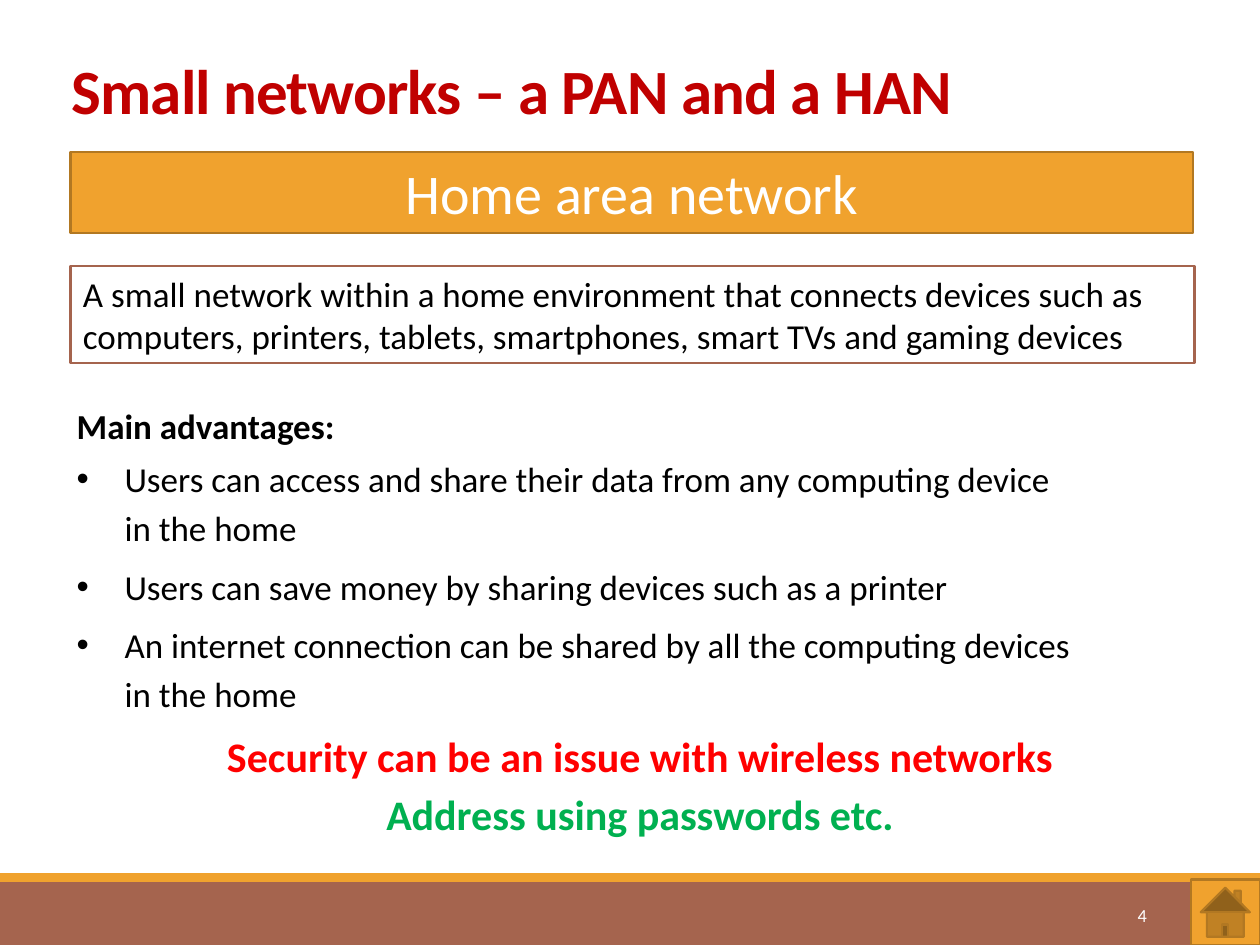
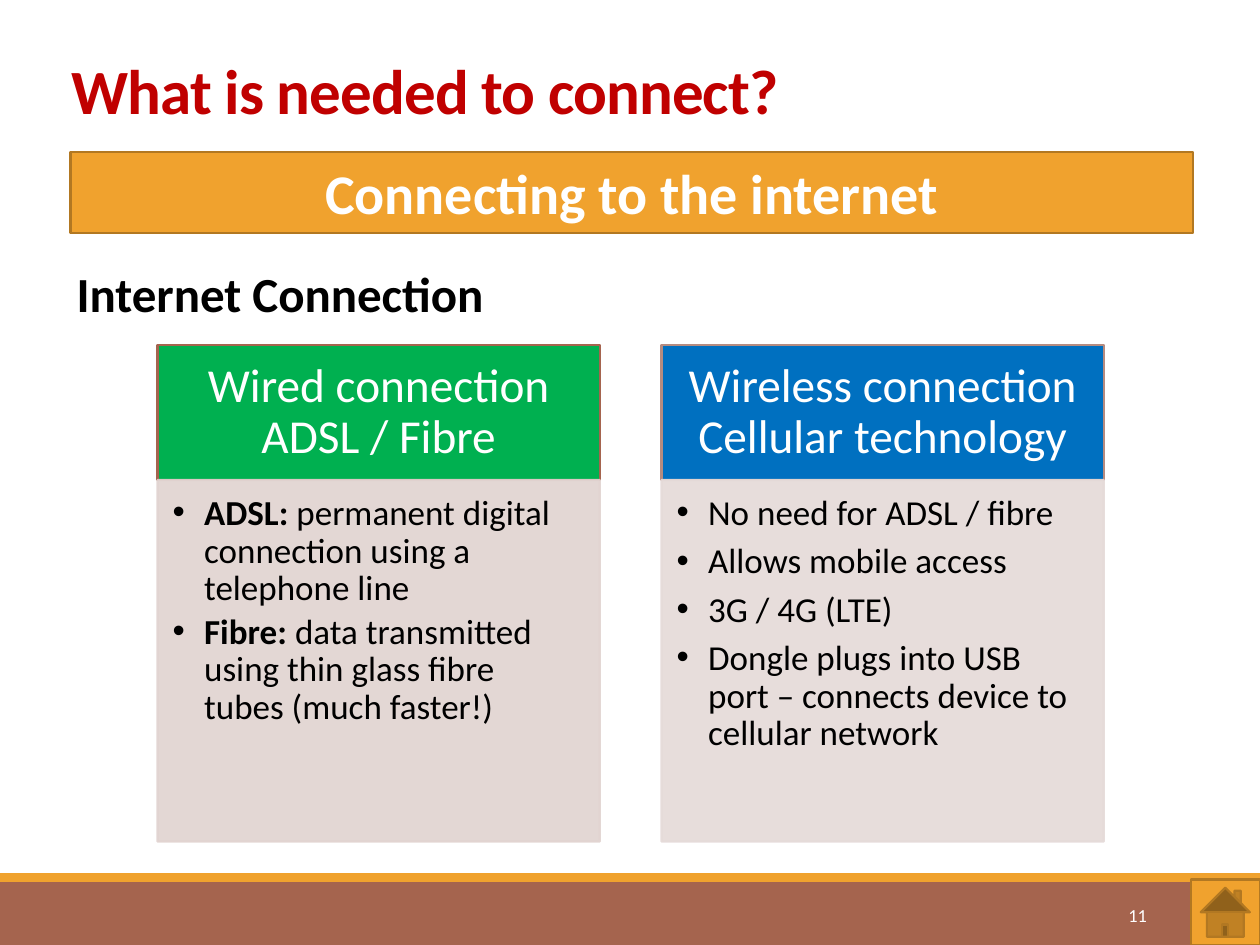
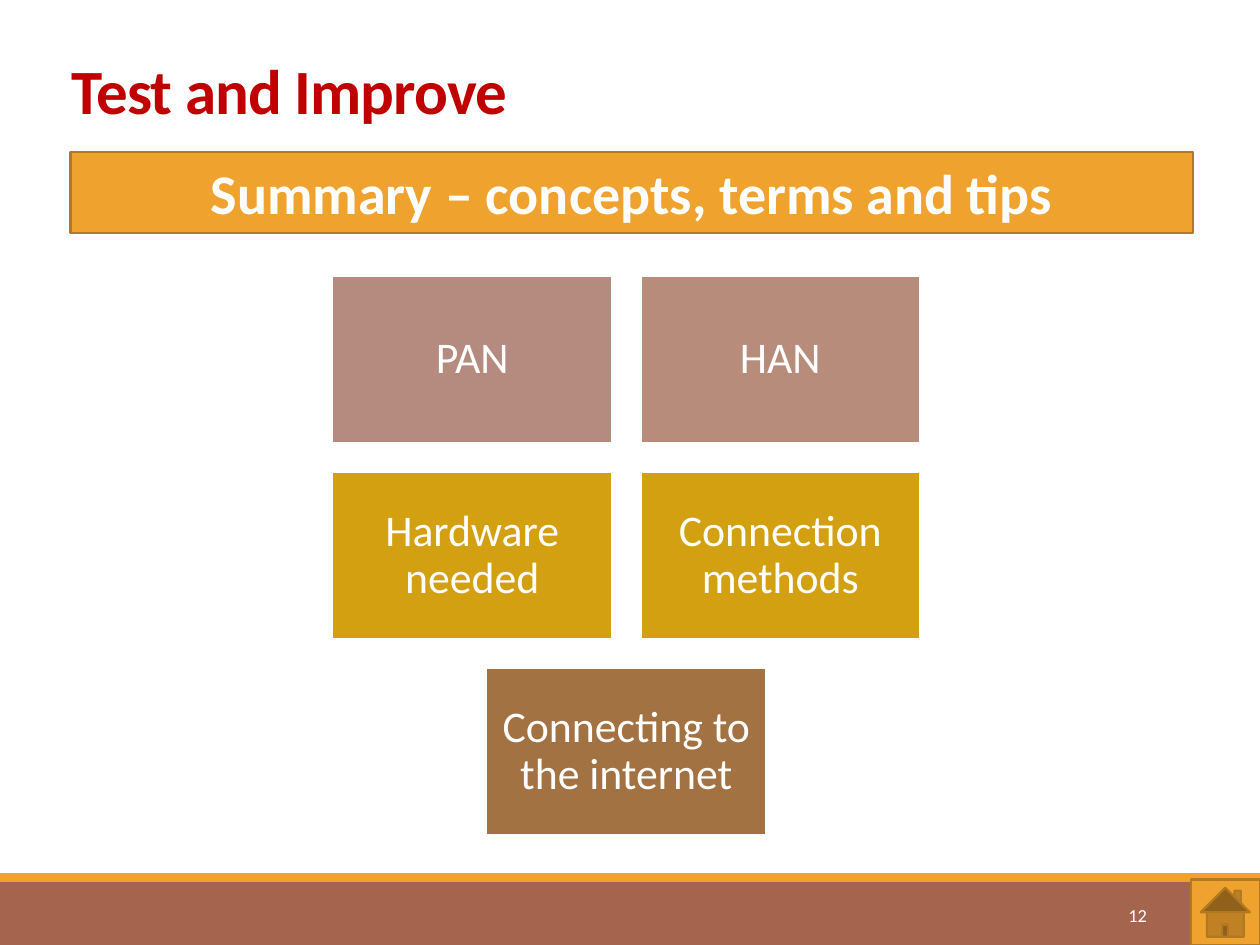
from dataclasses import dataclass

from lxml.etree import SubElement
from pptx import Presentation
from pptx.dml.color import RGBColor
from pptx.enum.shapes import MSO_SHAPE as Preset
from pptx.enum.text import MSO_ANCHOR as Anchor, PP_ALIGN as Align
from pptx.oxml.ns import qn
from pptx.util import Inches, Pt


@dataclass(frozen=True)
class Theme:
    font: str = "Calibri"
    # Colours
    white: str = "FFFFFF"
    black: str = "000000"
    title: str = "C00000"
    brown: str = "A5644E"
    amber: str = "F0A22E"
    amber_edge: str = "B27822"
    rose: str = "B58B80"
    clay: str = "B88C7B"
    gold: str = "D2A010"
    bronze: str = "A27242"
    green: str = "00B050"
    blue: str = "0070C0"
    red: str = "FF0000"
    wired_tint: str = "E1D3D0"
    wireless_tint: str = "E5DAD8"
    # Type sizes and line width
    title_size: float = 36
    banner_size: float = 32
    subhead_size: float = 28
    column_size: float = 27
    tile_size: float = 25
    notice_size: float = 24
    body_size: float = 20
    number_size: float = 10.5
    edge: float = 1.25


@dataclass
class Line:
    """One paragraph: an optional bold lead, then the text."""
    text: str
    lead: str = ""
    bold: bool = False
    color: str = Theme.black
    after: float = 0
    bullet: float = 0  # hanging indent in inches


class Deck:
    """Holds the theme and current slide; places are columns and rows."""
    COLUMNS, ROWS = 100, 75

    def __init__(self, theme):
        self.theme = theme
        self.show = Presentation()
        self.show.slide_width, self.show.slide_height = Inches(10), Inches(7.5)
        self.column = self.show.slide_width / self.COLUMNS
        self.row = self.show.slide_height / self.ROWS
        self.slide = None

    def place(self, left, top, width, height):
        return (round(left * self.column), round(top * self.row),
                round(width * self.column), round(height * self.row))

    def box(self, at, fill, edge=None, preset=Preset.RECTANGLE, opacity=None):
        shape = self.slide.shapes.add_shape(preset, *self.place(*at))
        shape.shadow.inherit = False
        shape.fill.solid()
        shape.fill.fore_color.rgb = RGBColor.from_string(fill)
        if edge:
            shape.line.color.rgb = RGBColor.from_string(edge)
            shape.line.width = Pt(self.theme.edge)
        else:
            shape.line.fill.background()
        if opacity:
            for color in shape._element.spPr.iter(qn("a:srgbClr")):
                SubElement(color, qn("a:alpha"), val=str(opacity * 1000))
        return shape

    def text(self, at, lines, size, **style):
        area = self.slide.shapes.add_textbox(*self.place(*at))
        self.set_lines(area, lines, size, **style)

    def set_lines(self, shape, lines, size, align=Align.LEFT, anchor=Anchor.TOP,
                  spacing=1.0, insets=(0.1, 0.05, 0.1, 0.05), tracking=0):
        frame = shape.text_frame
        frame.word_wrap = True
        frame.vertical_anchor = anchor
        (frame.margin_left, frame.margin_top,
         frame.margin_right, frame.margin_bottom) = map(Inches, insets)
        for index, line in enumerate(lines):
            paragraph = frame.add_paragraph() if index else frame.paragraphs[0]
            if line.bullet:
                self.bullet(paragraph, line.bullet)
            paragraph.alignment = align
            paragraph.line_spacing = spacing
            paragraph.space_after = Pt(line.after)
            for words, bold in ((line.lead, True), (line.text, line.bold)):
                if not words:
                    continue
                run = paragraph.add_run()
                run.text = words
                run.font.name = self.theme.font
                run.font.size = Pt(size)
                run.font.bold = bold
                run.font.color.rgb = RGBColor.from_string(line.color)
                if tracking:
                    run._r.get_or_add_rPr().set("spc", str(round(tracking * 100)))

    def bullet(self, paragraph, indent):
        properties = paragraph._p.get_or_add_pPr()
        properties.set("marL", str(Inches(indent)))
        properties.set("indent", str(-Inches(indent)))
        SubElement(properties, qn("a:buFont"), typeface="Arial")
        SubElement(properties, qn("a:buChar"), char="•")

    def start(self, title, banner, number, banner_bold=True):
        """Add a slide with its title, banner, footer and home button."""
        t = self.theme
        self.slide = self.show.slides.add_slide(self.show.slide_layouts[6])
        # Footer
        self.box((0, 70, 100, 5), t.brown)
        self.box((0, 69.3, 100, 0.7), t.amber)
        self.text((81.2, 70.6, 10.8, 4), [Line(str(number), color=t.white)],
                  t.number_size, align=Align.RIGHT, anchor=Anchor.MIDDLE)
        self.box((94.5, 69.8, 5.5, 5.2), t.amber, t.amber_edge,
                 Preset.ACTION_BUTTON_HOME)
        # Heading
        strip = self.box((5.6, 12.1, 89.1, 6.4), t.amber, t.amber_edge)
        self.set_lines(strip, [Line(banner, bold=banner_bold, color=t.white)],
                       t.banner_size, align=Align.CENTER)
        self.text((4.7, 3.2, 90, 7.4), [Line(title, bold=True, color=t.title)],
                  t.title_size, anchor=Anchor.BOTTOM, spacing=0.85, tracking=-0.5)

    def panel(self, left, heading, fill, edge, tint, points):
        """A coloured heading above a tinted list."""
        t, top, width, head, body = self.theme, 27.4, 35.1, 10.7, 28.7
        header = self.box((left, top, width, head), fill, edge)
        self.set_lines(header, [Line(heading, color=t.white)], t.column_size,
                       align=Align.CENTER, anchor=Anchor.MIDDLE, spacing=0.9,
                       insets=(0.21, 0.12, 0.21, 0.12))
        details = self.box((left, top + head, width, body), tint, tint, opacity=90)
        self.set_lines(details, points, t.body_size, spacing=0.9,
                       insets=(0.12, 0.12, 0.16, 0.17))

    def tiles(self, rows, center, top, width, height, gap):
        """Rows of equal tiles, each row centred."""
        t = self.theme
        for level, row in enumerate(rows):
            left = center - (len(row) * (width + gap) - gap) / 2
            for position, (topic, fill) in enumerate(row):
                tile = self.box((left + position * (width + gap),
                                 top + level * (height + gap), width, height),
                                fill, t.white)
                self.set_lines(tile, [Line(topic, color=t.white)], t.tile_size,
                               align=Align.CENTER, anchor=Anchor.MIDDLE,
                               spacing=0.9, insets=(0.1,) * 4)


def home_network(deck):
    t = deck.theme
    deck.start("Small networks – a PAN and a HAN", "Home area network", 4,
               banner_bold=False)
    definition = deck.box((5.6, 21.1, 89.2, 7.7), t.white, t.brown)
    deck.set_lines(definition, [Line(
        "A small network within a home environment that connects devices such as "
        "computers, printers, tablets, smartphones, smart TVs and gaming devices")],
        t.body_size)
    deck.text((5.1, 31.1, 81.1, 26.3), [
        Line("Main advantages:", bold=True, after=3),
        Line("Users can access and share their data from any computing device "
             "in the home", after=6, bullet=0.38),
        Line("Users can save money by sharing devices such as a printer",
             after=6, bullet=0.38),
        Line("An internet connection can be shared by all the computing devices "
             "in the home", after=10, bullet=0.38),
    ], t.body_size, spacing=1.15)
    deck.text((12.2, 56.9, 77.2, 10.3), [
        Line("Security can be an issue with wireless networks", bold=True, color=t.red),
        Line("Address using passwords etc.", bold=True, color=t.green),
    ], t.notice_size, align=Align.CENTER, spacing=1.15)


def connection_types(deck):
    t = deck.theme
    deck.start("What is needed to connect?", "Connecting to the internet", 11)
    deck.text((5.1, 20.4, 43, 5.7), [Line("Internet Connection", bold=True)],
              t.subhead_size)
    wired = [
        Line(" permanent digital connection using a telephone line",
             lead="ADSL:", after=3, bullet=0.25),
        Line("data transmitted using thin glass fibre tubes (much faster!)",
             lead="Fibre: ", after=3, bullet=0.25),
    ]
    wireless = [Line(point, after=6, bullet=0.25) for point in (
        "No need for ADSL / fibre",
        "Allows mobile access",
        "3G / 4G (LTE)",
        "Dongle plugs into USB port – connects device to cellular network",
    )]
    deck.panel(12.5, "Wired connection ADSL / Fibre", t.green, t.brown,
               t.wired_tint, wired)
    deck.panel(52.5, "Wireless connection Cellular technology", t.blue, t.rose,
               t.wireless_tint, wireless)


def summary(deck):
    t = deck.theme
    deck.start("Test and Improve", "Summary – concepts, terms and tips", 12)
    deck.tiles([
        [("PAN", t.rose), ("HAN", t.clay)],
        [("Hardware needed", t.gold), ("Connection methods", t.gold)],
        [("Connecting to the internet", t.bronze)],
    ], center=49.7, top=21.9, width=22.2, height=13.3, gap=2.25)


def main():
    deck = Deck(Theme())
    for build in (home_network, connection_types, summary):
        build(deck)
    deck.show.save("out.pptx")


if __name__ == "__main__":
    main()
